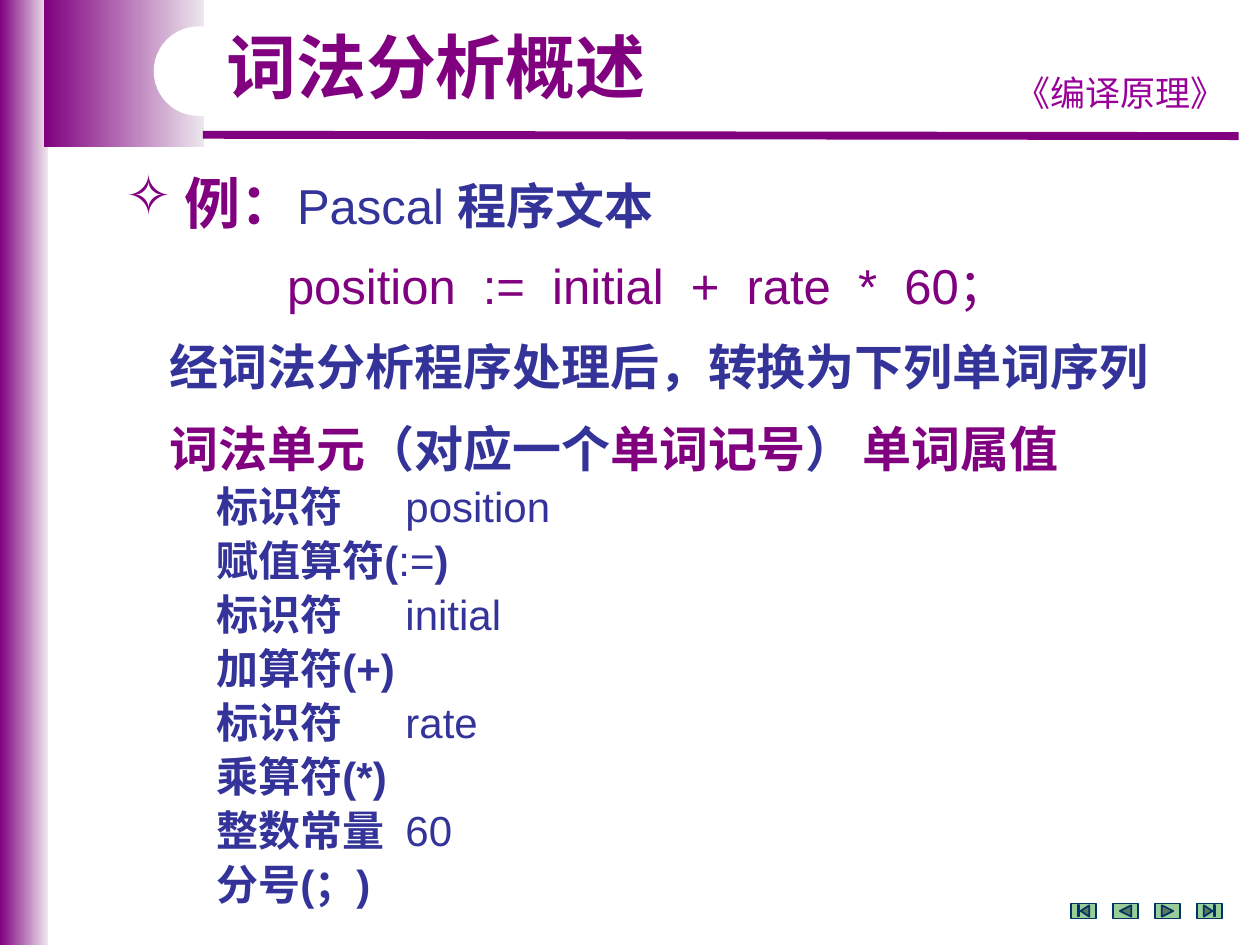
import pptx
import pptx.util
import pptx.dml.color
import pptx.enum.shapes
import pptx.enum.text
import pptx.oxml
import pptx.oxml.ns

Inches = pptx.util.Inches
Pt = pptx.util.Pt
Shape = pptx.enum.shapes.MSO_SHAPE
Align = pptx.enum.text.PP_ALIGN
Anchor = pptx.enum.text.MSO_ANCHOR
qn = pptx.oxml.ns.qn

COLORS = {
    "purple": "800080",
    "pale": "EDE7ED",
    "violet": "990099",
    "blue": "333399",
    "white": "FFFFFF",
    "green": "99CC99",
    "navy": "003366",
}
LATIN = "Arial"
CJK = "Noto Sans CJK SC"


def color(name):
    return pptx.dml.color.RGBColor.from_string(COLORS[name])


def child(parent, tag, **attributes):
    element = parent.makeelement(qn(tag), attributes)
    parent.append(element)
    return element


def add_span(para, text, size, shade, bold=False, font=LATIN):
    span = para.add_run()
    span.text = text
    span.font.size = Pt(size)
    span.font.bold = bold
    span.font.name = font
    span.font.color.rgb = color(shade)
    child(span.font._element, "a:ea", typeface=CJK)


def add_para(frame, spans, left=0, hanging=0, height=None, bullet=None, tab=None):
    first = frame.paragraphs[0]
    para = first if not first.runs else frame.add_paragraph()
    properties = para._p.get_or_add_pPr()
    properties.set("marL", str(Inches(left)))
    properties.set("indent", str(Inches(-hanging)))
    para.line_spacing = Pt(height)
    if bullet:
        tint = child(properties, "a:buClr")
        child(tint, "a:srgbClr", val=COLORS["purple"])
        child(properties, "a:buChar", char=bullet)
    if tab:
        stops = child(properties, "a:tabLst")
        child(stops, "a:tab", pos=str(Inches(tab)), algn="l")
    for span in spans:
        add_span(para, *span)


def add_frame(page, left, top, width, height):
    box = page.shapes.add_textbox(Inches(left), Inches(top), Inches(width), Inches(height))
    box.text_frame.word_wrap = True
    return box.text_frame


def add_block(page, kind, left, top, width, height, fill=None, line=None):
    block = page.shapes.add_shape(kind, Inches(left), Inches(top), Inches(width), Inches(height))
    block.shadow.inherit = False
    if fill:
        block.fill.solid()
        block.fill.fore_color.rgb = color(fill)
    else:
        block.fill.gradient()
        block.fill.gradient_angle = 0
        for stop, name in zip(block.fill.gradient_stops, ("purple", "pale")):
            stop.color.rgb = color(name)
        block.fill.gradient_stops[0].position = 0
        block.fill.gradient_stops[1].position = 1
    if line:
        block.line.color.rgb = color(line)
        block.line.width = Pt(1)
    else:
        block.line.fill.background()
    return block


def add_frame_art(page):
    add_block(page, Shape.RECTANGLE, 0, 0, 0.38, 7.5)
    add_block(page, Shape.RECTANGLE, 0.35, 0, 1.27, 1.17)
    rule = page.shapes.add_connector(
        pptx.enum.shapes.MSO_CONNECTOR.STRAIGHT,
        Inches(1.61), Inches(1.07), Inches(9.83), Inches(1.08))
    rule.line.color.rgb = color("purple")
    rule.line.width = Pt(4.5)
    child(rule._element.spPr, "a:effectLst")
    notch = add_block(page, Shape.ROUNDED_RECTANGLE, 1.22, 0.21, 3.62, 0.71, "white")
    notch.adjustments[0] = 0.5


def add_course_label(page, left, top, width, height):
    frame = add_frame(page, left, top, width, height)
    frame.vertical_anchor = Anchor.MIDDLE
    para = frame.paragraphs[0]
    para.alignment = Align.CENTER
    add_span(para, "《编译原理》", 20, "violet", font=CJK)


def place_title(page, left, top, width, height):
    title = page.shapes.title
    title.left, title.top = Inches(left), Inches(top)
    title.width, title.height = Inches(width), Inches(height)
    frame = title.text_frame
    frame.auto_size = pptx.enum.text.MSO_AUTO_SIZE.NONE
    frame.vertical_anchor = Anchor.MIDDLE
    para = frame.paragraphs[0]
    para.alignment = Align.CENTER
    para.line_spacing = 0.9
    add_span(para, "词法分析概述", 40, "purple", True, CJK)
    page.shapes._spTree.append(title._element)


def add_example(page, left, top, width, height):
    frame = add_frame(page, left, top, width, height)
    add_para(frame, [
        ("例：", 32, "purple", True),
        ("Pascal ", 28, "blue"),
        ("程序文本", 28, "blue", True),
    ], left=0.47, hanging=0.47, height=41.7, bullet="✧")
    add_para(frame, [("position  :=  initial  +  rate  *  60；", 28, "purple")],
             left=1.28, height=45.2)
    add_para(frame, [("经词法分析程序处理后，转换为下列单词序列", 28, "blue", True)],
             left=0.35, height=46.3)


def add_tokens(page, left, top, width, height):
    frame = add_frame(page, left, top, width, height)
    add_para(frame, [
        ("词法单元", 28, "purple", True),
        ("（对应一个", 28, "blue", True),
        ("单词记号", 28, "purple", True),
        ("）\t", 28, "blue", True),
        ("单词属值", 28, "purple", True),
    ], left=0.5, height=33, tab=6.98)
    tokens = [
        ("标识符", "position", 6.45),
        ("赋值算符(:=)", None, None),
        ("标识符", "initial", 6.45),
        ("加算符(+)", None, None),
        ("标识符", "rate", 6.45),
        ("乘算符(*)", None, None),
        ("整数常量", "60", 5.81),
        ("分号(；)", None, None),
    ]
    for token, value, tab in tokens:
        before, assign, after = token.partition(":=")
        spans = [(before, 24, "blue", True)]
        if assign:
            spans += [(assign, 24, "blue"), (after, 24, "blue", True)]
        if value:
            spans.append(("\t" + value, 24, "blue"))
        add_para(frame, spans, left=0.87, height=30.8, tab=tab)


def add_navigation(page, left, top, width, height):
    kinds = (
        Shape.ACTION_BUTTON_BEGINNING,
        Shape.ACTION_BUTTON_BACK_OR_PREVIOUS,
        Shape.ACTION_BUTTON_FORWARD_OR_NEXT,
        Shape.ACTION_BUTTON_END,
    )
    button = 0.2
    step = (width - button) / (len(kinds) - 1)
    for index, kind in enumerate(kinds):
        add_block(page, kind, left + index * step, top, button, height, "green", "navy")


def main():
    deck = pptx.Presentation()
    deck.slide_width, deck.slide_height = Inches(10), Inches(7.5)
    page = deck.slides.add_slide(deck.slide_layouts[5])
    add_frame_art(page)
    add_course_label(page, 7.91, 0.52, 1.97, 0.43)
    add_example(page, 0.9, 1.24, 8.66, 1.9)
    add_tokens(page, 0.75, 3.28, 9.06, 4.09)
    place_title(page, 1.61, 0.21, 3.7, 0.7)
    add_navigation(page, 8.5, 7.17, 1.2, 0.12)
    deck.save("out.pptx")


if __name__ == "__main__":
    main()
